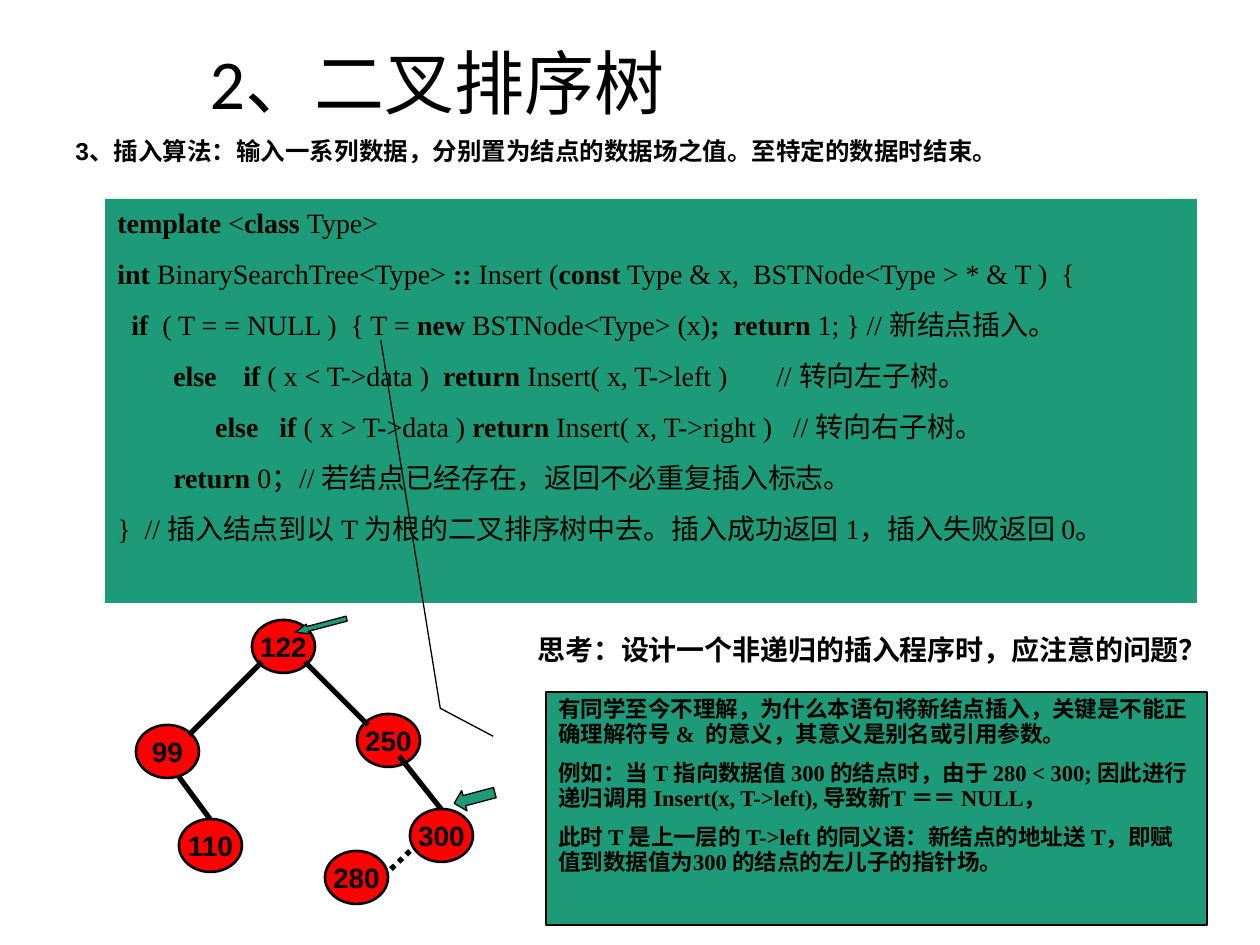
import itertools

import pptx
import pptx.dml.color
import pptx.enum.dml
import pptx.enum.shapes
import pptx.enum.text
import pptx.oxml
import pptx.oxml.ns
import pptx.util

# Content: a bar switches bold on and off in the code
TITLE = "2、二叉排序树"
HEADING = "3、插入算法：输入一系列数据，分别置为结点的数据场之值。至特定的数据时结束。"
QUESTION = "思考：设计一个非递归的插入程序时，应注意的问题？"
CODE = [
    "|template |<|class |Type>",
    "|int |BinarySearchTree<Type> |:: |Insert (|const| Type & x,  BSTNode<Type > * & T )  {",
    "|  if  |( T = = NULL )  { T = |new |BSTNode<Type> (x)|;  return| 1; } // 新结点插入。",
    "        |else \tif| ( x < T->data )  |return |Insert( x, T->left )       // 转向左子树。",
    "|              else   if |( x > T->data ) |return |Insert( x, T->right )   // 转向右子树。",
    "|        return |0；// 若结点已经存在，返回不必重复插入标志。",
    "}  // 插入结点到以 T 为根的二叉排序树中去。插入成功返回 1，插入失败返回 0。",
]
NOTES = [
    "有同学至今不理解，为什么本语句将新结点插入，关键是不能正确理解符号 &  的意义，其意义是别名或引用参数。",
    "例如：当 T 指向数据值 300 的结点时，由于 280 < 300; 因此进行递归调用 Insert(x, T->left), 导致新T ＝＝ NULL，",
    "此时 T 是上一层的 T->left 的同义语：新结点的地址送 T，即赋值到数据值为300 的结点的左儿子的指针场。",
]
NODES = {"122": (252, 620), "250": (357, 714), "300": (410, 809),
         "110": (179, 819), "99": (136, 725), "280": (325, 851)}
NODE_SIZE = (63, 53)
EDGES = [  # x1, y1, x2, y2, dotted
    (262, 662, 189, 735, False),
    (305, 662, 368, 725, False),
    (399, 756, 441, 809, False),
    (179, 777, 210, 819, False),
    (410, 851, 388, 872, True),
]
POINTERS = [((316, 599, 10, 53), 1.25), ((464, 777, 21, 42), 0.5)]  # box, head length
POINTER_ANGLE = 75.2
CALLOUT_BENDS = [0.19, -0.08, 0.07, -0.16, -1.51, -0.25]

THEME = {
    "ink": "000000", "panel": "1D9A78", "node": "FF0000",
    "title_font": "Calibri", "font": "Arial", "code_font": "Times New Roman",
    "cjk_font": "Noto Sans CJK SC",
    "title": 40, "heading": 14, "body": 16, "note": 12.9,
}
PX = 914400 / 126
SHAPE = pptx.enum.shapes.MSO_SHAPE
ALIGN = pptx.enum.text.PP_ALIGN
ANCHOR = pptx.enum.text.MSO_ANCHOR


def px(*values):
    return [pptx.util.Emu(round(value * PX)) for value in values]


def colour(name):
    return pptx.dml.color.RGBColor.from_string(THEME[name])


def style(font, size, face="font", bold=True):
    font.size = pptx.util.Pt(THEME[size])
    font.name = THEME[face]
    font.bold = bold
    font.color.rgb = colour("ink")


def add_panel(slide, kind, box, fill, line_width=None):
    shape = slide.shapes.add_shape(kind, *px(*box))
    shape.shadow.inherit = False
    shape.fill.solid()
    shape.fill.fore_color.rgb = colour(fill)
    if line_width:
        shape.line.color.rgb = colour("ink")
        shape.line.width = pptx.util.Pt(line_width)
    else:
        shape.line.fill.background()
    shape.text_frame.vertical_anchor = ANCHOR.TOP
    return shape


def add_label(slide, box, text, size):
    text_frame = slide.shapes.add_textbox(*px(*box)).text_frame
    text_frame.word_wrap = True
    text_frame.text = text
    style(text_frame.paragraphs[0].runs[0].font, size)
    return text_frame.paragraphs[0]


def fill_paragraphs(text_frame, lines, alignment, gap):
    """Yield each line with its paragraph, spaced from the one before."""
    for index, line in enumerate(lines):
        paragraph = text_frame.paragraphs[0] if index == 0 else text_frame.add_paragraph()
        paragraph.alignment = alignment
        paragraph.space_before = pptx.util.Pt(gap if index else 0)
        yield paragraph, line


def add_run(paragraph, text, size, face, bold):
    run = paragraph.add_run()
    run.text = text
    style(run.font, size, face, bold)


def is_cjk(character):
    return ord(character) > 0x2E80


def main():
    presentation = pptx.Presentation()
    presentation.slide_width, presentation.slide_height = px(1260, 945)
    slide = presentation.slides.add_slide(presentation.slide_layouts[5])

    # Title, heading and question
    title = slide.shapes.title
    title.left, title.top, title.width, title.height = px(197, 40, 951, 93)
    title.text_frame.text = TITLE
    title.text_frame.vertical_anchor = ANCHOR.MIDDLE
    paragraph = title.text_frame.paragraphs[0]
    paragraph.alignment = ALIGN.LEFT
    paragraph.line_spacing = 0.9
    style(paragraph.runs[0].font, "title", "title_font", False)
    heading = add_label(slide, (0, 130, 1155, 43), HEADING, "heading")
    heading._p.get_or_add_pPr().set("marL", str(px(63)[0]))

    # Code panel
    panel = add_panel(slide, SHAPE.RECTANGLE, (105, 199, 1092, 404), "panel")
    for paragraph, line in fill_paragraphs(panel.text_frame, CODE, ALIGN.JUSTIFY, 10):
        for index, part in enumerate(line.split("|")):
            for cjk, characters in itertools.groupby(part, is_cjk):
                face = "cjk_font" if cjk else "code_font"
                add_run(paragraph, "".join(characters), "body", face, index % 2 == 1)

    # Tree nodes
    for value, corner in NODES.items():
        node = add_panel(slide, SHAPE.OVAL, corner + NODE_SIZE, "node", 1.5)
        node.text_frame.word_wrap = False
        node.text_frame.vertical_anchor = ANCHOR.MIDDLE
        node.text_frame.text = value
        node.text_frame.paragraphs[0].alignment = ALIGN.CENTER
        style(node.text_frame.paragraphs[0].runs[0].font, "body")

    # Tree edges
    for *ends, dotted in EDGES:
        edge = slide.shapes.add_connector(pptx.enum.shapes.MSO_CONNECTOR.STRAIGHT, *px(*ends))
        edge.line.color.rgb = colour("ink")
        edge.line.width = pptx.util.Pt(3)
        if dotted:
            edge.line.dash_style = pptx.enum.dml.MSO_LINE.ROUND_DOT
        edge._element.spPr.append(pptx.oxml.parse_xml(
            "<a:effectLst %s/>" % pptx.oxml.ns.nsdecls("a")))

    # Pointers to the visited nodes
    for box, head in POINTERS:
        pointer = add_panel(slide, SHAPE.DOWN_ARROW, box, "panel", 0.75)
        pointer.rotation = POINTER_ANGLE
        pointer.adjustments[1] = head

    # Question and explanation
    add_label(slide, (525, 626, 703, 47), QUESTION, "body")
    callout = add_panel(slide, SHAPE.LINE_CALLOUT_2, (546, 692, 661, 233), "panel", 0.75)
    for index, bend in enumerate(CALLOUT_BENDS):
        callout.adjustments[index] = bend
    for paragraph, line in fill_paragraphs(callout.text_frame, NOTES, ALIGN.LEFT, 8.8):
        paragraph.line_spacing = 0.9
        add_run(paragraph, line, "note", "code_font", True)

    presentation.save("out.pptx")


if __name__ == "__main__":
    main()
